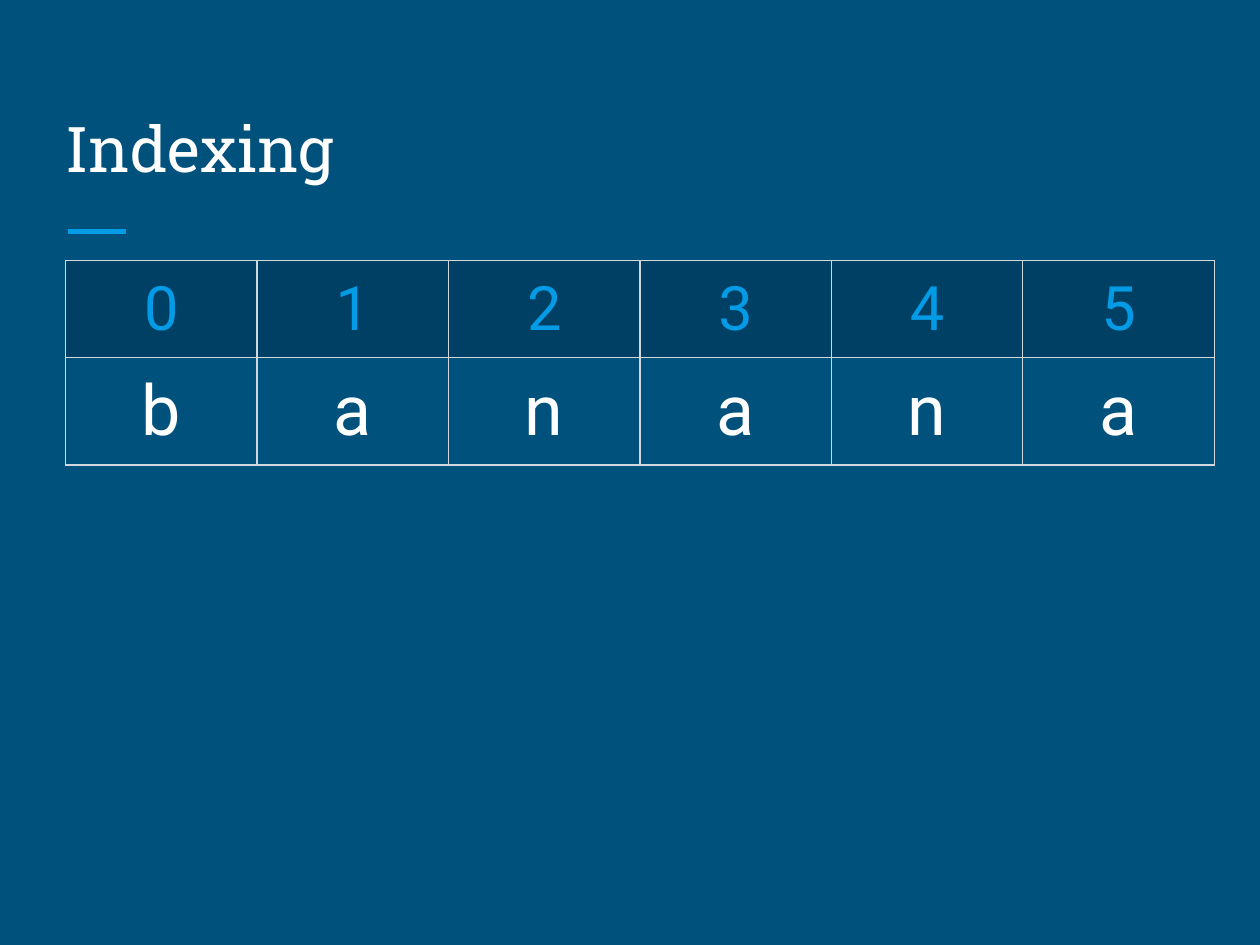
from dataclasses import dataclass

from lxml.etree import SubElement as Sub
from pptx import Presentation
from pptx.dml.color import RGBColor as Rgb
from pptx.enum.shapes import MSO_CONNECTOR as Conn
from pptx.enum.text import MSO_ANCHOR as Anchor, MSO_AUTO_SIZE as Fit, PP_ALIGN as Align
from pptx.oxml.ns import qn
from pptx.util import Inches, Pt


@dataclass(frozen=True)
class Theme:
    back: str = "00517C"
    head: str = "004065"
    blue: str = "039BE5"
    white: str = "FFFFFF"
    grid: str = "CFD8DC"
    slab: str = "Roboto Slab"
    sans: str = "Roboto"
    title: int = 36
    index: int = 35
    letter: int = 40


class Deck:
    def __init__(self, theme):
        self.theme = theme
        self.prs = Presentation()
        self.prs.slide_width, self.prs.slide_height = Inches(10), Inches(7.5)
        self.slide = self.prs.slides.add_slide(self.prs.slide_layouts[5])
        self.paint(self.slide.background.fill, theme.back)

    def paint(self, fill, color):
        fill.solid()
        fill.fore_color.rgb = Rgb.from_string(color)

    def style(self, item, form):
        for name, value in form.items():
            setattr(item, name, value)

    def label(self, frame, text, align, font, size, color):
        para = frame.paragraphs[0]
        para.alignment = align
        run = para.add_run()
        run.text = text
        self.style(run.font, {"name": font, "size": Pt(size), "bold": False})
        run.font.color.rgb = Rgb.from_string(color)

    def inset(self, item):
        sides = ("left", "right", "top", "bottom")
        self.style(item, {f"margin_{side}": Inches(0.1) for side in sides})
        item.vertical_anchor = Anchor.MIDDLE

    def title(self, text, left, top, width, height):
        shape = self.slide.shapes.title
        self.style(shape, {"left": Inches(left), "top": Inches(top),
                           "width": Inches(width), "height": Inches(height)})
        frame = shape.text_frame
        self.inset(frame)
        self.style(frame, {"word_wrap": True, "auto_size": Fit.NONE})
        self.label(frame, text, Align.LEFT, self.theme.slab,
                   self.theme.title, self.theme.white)

    def rule(self, left, right, y):
        line = self.slide.shapes.add_connector(
            Conn.STRAIGHT, Inches(left), Inches(y), Inches(right), Inches(y))
        line.line.width = Pt(3)
        line.line.color.rgb = Rgb.from_string(self.theme.blue)
        Sub(line._element.spPr, qn("a:effectLst"))

    def border(self, cell):
        props = cell._tc.get_or_add_tcPr()
        for side in "LRTB":
            edge = Sub(props, qn(f"a:ln{side}"), w=str(Pt(0.75)))
            fill = Sub(edge, qn("a:solidFill"))
            Sub(fill, qn("a:srgbClr"), val=self.theme.grid)

    def cell(self, cell, text, size, color, fill):
        self.inset(cell)
        self.border(cell)
        if fill:
            self.paint(cell.fill, fill)
        else:
            cell.fill.background()
        self.label(cell.text_frame, text, Align.CENTER, self.theme.sans, size, color)

    def table(self, rows, left, top, wide):
        count = len(rows[0][0])
        high = sum(row[1] for row in rows)
        grid = self.slide.shapes.add_table(
            len(rows), count, Inches(left), Inches(top),
            Inches(wide * count), Inches(high)).table
        grid.first_row = grid.horz_banding = False
        for col in grid.columns:
            col.width = Inches(wide)
        for r, (texts, height, *look) in enumerate(rows):
            grid.rows[r].height = Inches(height)
            for c, text in enumerate(texts):
                self.cell(grid.cell(r, c), text, *look)


def main():
    theme = Theme()
    deck = Deck(theme)

    # Heading and its accent line
    deck.rule(0.54, 1, 1.84)
    deck.title("Indexing", 0.42, 0.67, 9.15, 1)

    # Index of each letter in the word
    word = "banana"
    index = [str(i) for i in range(len(word))]
    deck.table([(index, 0.77, theme.index, theme.blue, theme.head),
                (word, 0.85, theme.letter, theme.white, None)],
               0.52, 2.07, 1.52)

    deck.prs.save("out.pptx")


if __name__ == "__main__":
    main()
